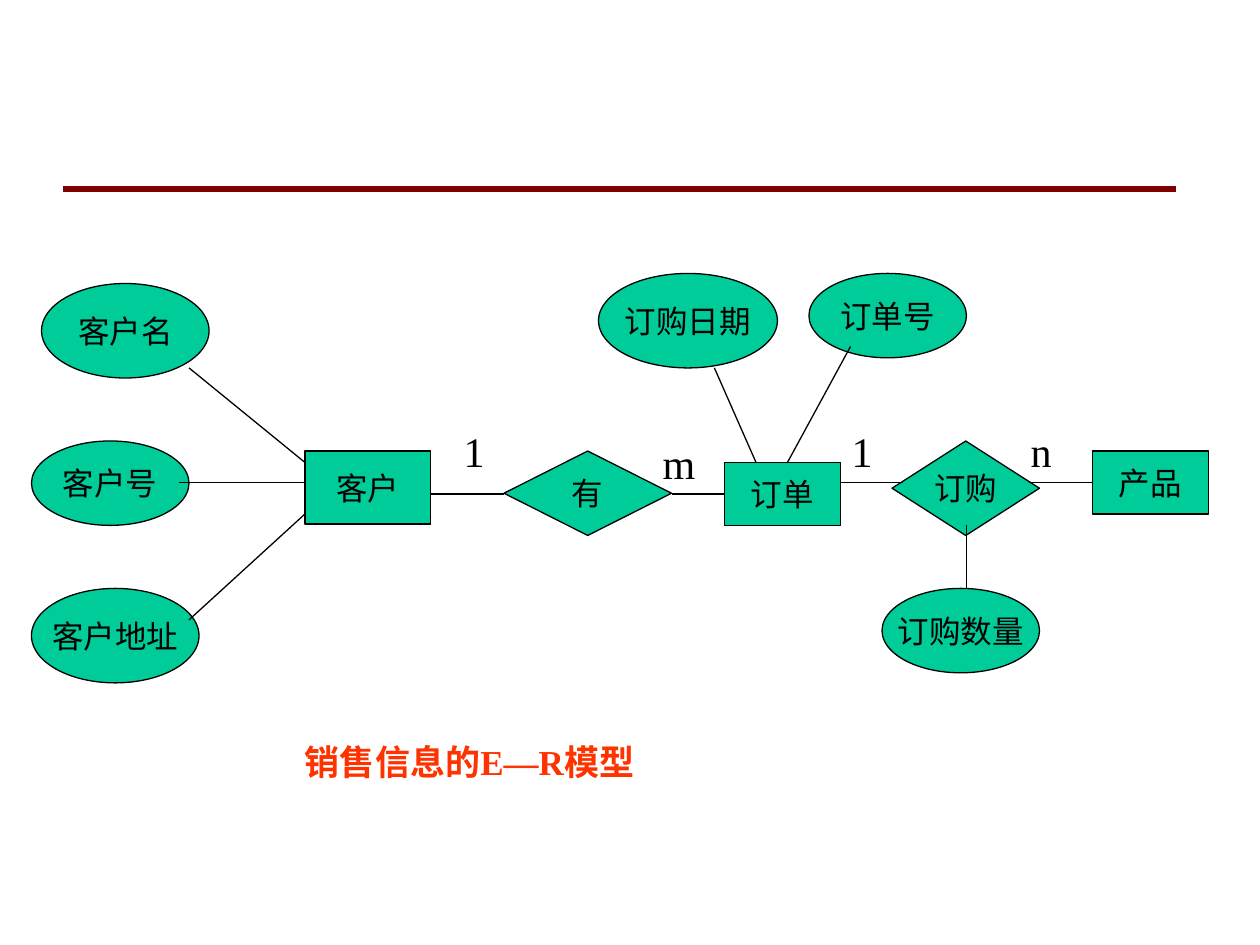
from lxml import etree
from pptx import Presentation
from pptx.dml.color import RGBColor
from pptx.enum.shapes import MSO_CONNECTOR, MSO_SHAPE
from pptx.enum.text import MSO_ANCHOR, PP_ALIGN
from pptx.oxml.ns import qn
from pptx.util import Inches, Pt

ATTRIBUTE = MSO_SHAPE.OVAL
ENTITY = MSO_SHAPE.RECTANGLE
RELATIONSHIP = MSO_SHAPE.DIAMOND
STRAIGHT = MSO_CONNECTOR.STRAIGHT
MIDDLE = MSO_ANCHOR.MIDDLE
CENTER = PP_ALIGN.CENTER

FONT = "Times New Roman"
BLACK, GREEN, MAROON, ORANGE = "000000", "00CC99", "800000", "FF3300"

# kind, text, left, top, width, height
NODES = [
    (ATTRIBUTE, "订购数量", 7, 4.67, 1.25, 0.67),
    (ATTRIBUTE, "订单号", 6.42, 2.17, 1.25, 0.67),
    (ATTRIBUTE, "订购日期", 4.75, 2.17, 1.42, 0.75),
    (ATTRIBUTE, "客户地址", 0.25, 4.67, 1.33, 0.75),
    (ATTRIBUTE, "客户名", 0.33, 2.25, 1.33, 0.75),
    (ATTRIBUTE, "客户号", 0.25, 3.5, 1.25, 0.67),
    (ENTITY, "客户", 2.42, 3.58, 1, 0.58),
    (ENTITY, "订单", 5.75, 3.67, 0.92, 0.5),
    (ENTITY, "产品", 8.67, 3.58, 0.92, 0.5),
    (RELATIONSHIP, "有", 4, 3.58, 1.33, 0.67),
    (RELATIONSHIP, "订购", 7.08, 3.5, 1.17, 0.75),
]

# start x, start y, end x, end y
LINKS = [
    (1.5, 2.92, 2.42, 3.67),
    (1.42, 3.83, 2.42, 3.83),
    (1.5, 4.92, 2.42, 4.08),
    (3.42, 3.92, 4, 3.92),
    (5.33, 3.92, 5.75, 3.92),
    (5.67, 2.92, 6, 3.67),
    (6.75, 2.75, 6.25, 3.67),
    (7.67, 4.17, 7.67, 4.67),
    (6.67, 3.83, 7.17, 3.83),
    (8.17, 3.83, 8.67, 3.83),
]

# text, left, top, width, left margin
CARDINALITIES = [
    ("1", 3.33, 3.33, 1, 0.35),
    ("m", 5.08, 3.42, 0.75, 0.18),
    ("1", 6.58, 3.33, 0.75, 0.18),
    ("n", 8, 3.33, 0.75, 0.18),
]


def color(hex_string):
    return RGBColor.from_string(hex_string)


def format_text(paragraph, size, hex_string, bold=False):
    for run in paragraph.runs:
        run.font.name = FONT
        run.font.size = Pt(size)
        run.font.bold = bold
        run.font.color.rgb = color(hex_string)


def add_line(slide, start_x, start_y, end_x, end_y, hex_string=BLACK, width=0.75):
    ends = [Inches(value) for value in (start_x, start_y, end_x, end_y)]
    connector = slide.shapes.add_connector(STRAIGHT, *ends)
    connector.line.color.rgb = color(hex_string)
    connector.line.width = Pt(width)
    etree.SubElement(connector._element.spPr, qn("a:effectLst"))


def add_node(slide, kind, text, *box):
    shape = slide.shapes.add_shape(kind, *[Inches(value) for value in box])
    shape.shadow.inherit = False
    shape.fill.solid()
    shape.fill.fore_color.rgb = color(GREEN)
    shape.line.color.rgb = color(BLACK)
    shape.line.width = Pt(0.75)
    text_frame = shape.text_frame
    text_frame.text = text
    text_frame.word_wrap = False
    text_frame.vertical_anchor = MIDDLE
    paragraph = text_frame.paragraphs[0]
    paragraph.alignment = CENTER
    format_text(paragraph, 18, BLACK)


def add_label(slide, text, box, margin_left, size, hex_string, bold=False):
    text_box = slide.shapes.add_textbox(*[Inches(value) for value in box])
    text_frame = text_box.text_frame
    text_frame.text = text
    text_frame.word_wrap = True
    text_frame.margin_left = Inches(margin_left)
    format_text(text_frame.paragraphs[0], size, hex_string, bold)


def main():
    presentation = Presentation()
    presentation.slide_width = Inches(10)
    presentation.slide_height = Inches(7.5)
    slide = presentation.slides.add_slide(presentation.slide_layouts[6])

    # Rule below the title area
    add_line(slide, 0.5, 1.5, 9.33, 1.5, MAROON, 3)

    # Entity-relationship diagram
    for node in NODES:
        add_node(slide, *node)
    for link in LINKS:
        add_line(slide, *link)

    # Caption and cardinalities
    add_label(slide, "销售信息的E—R模型", (0.5, 5.83, 7.92, 0.44), 1.92, 20, ORANGE, True)
    for text, left, top, width, margin_left in CARDINALITIES:
        add_label(slide, text, (left, top, width, 0.5), margin_left, 24, BLACK)

    presentation.save("out.pptx")


if __name__ == "__main__":
    main()
